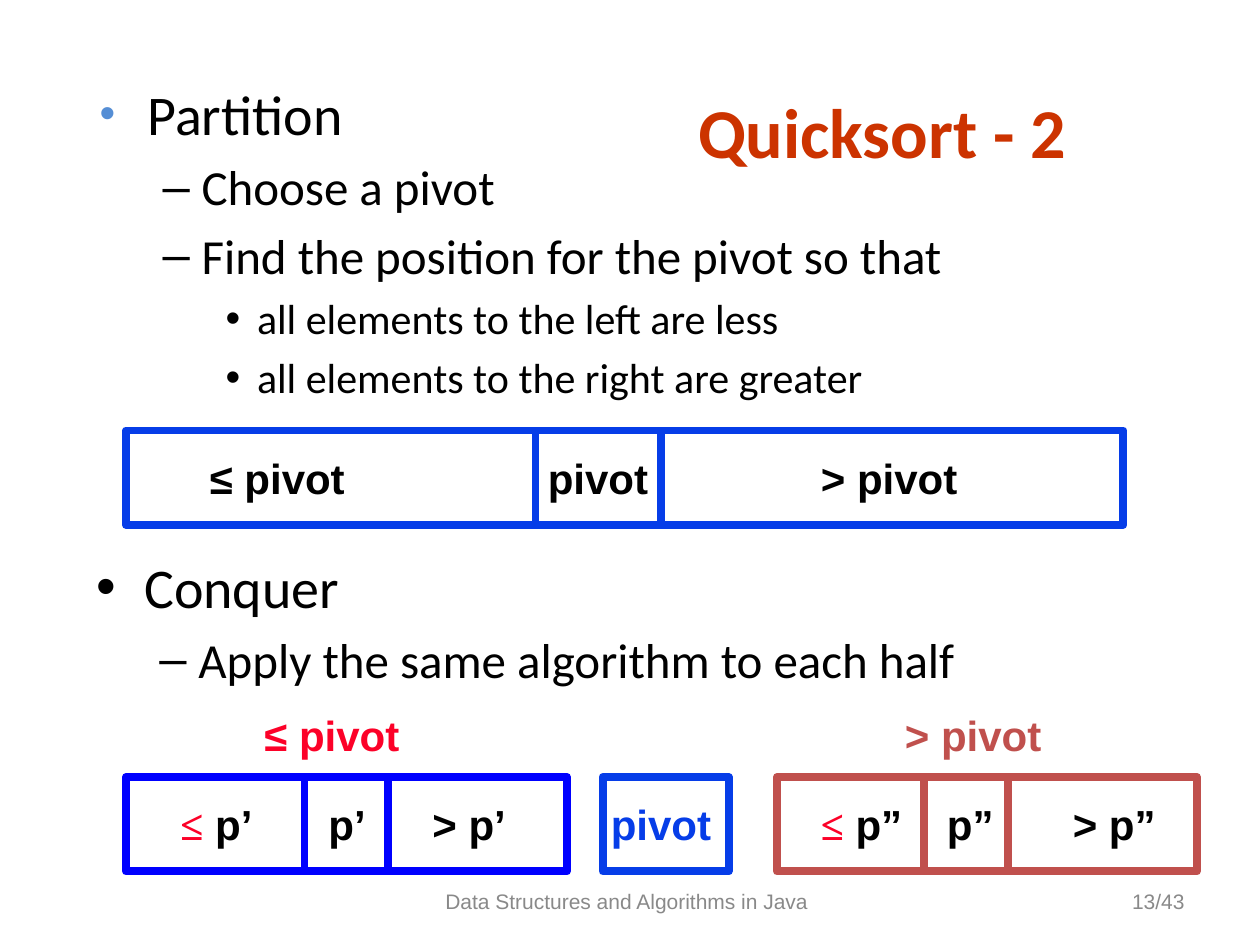
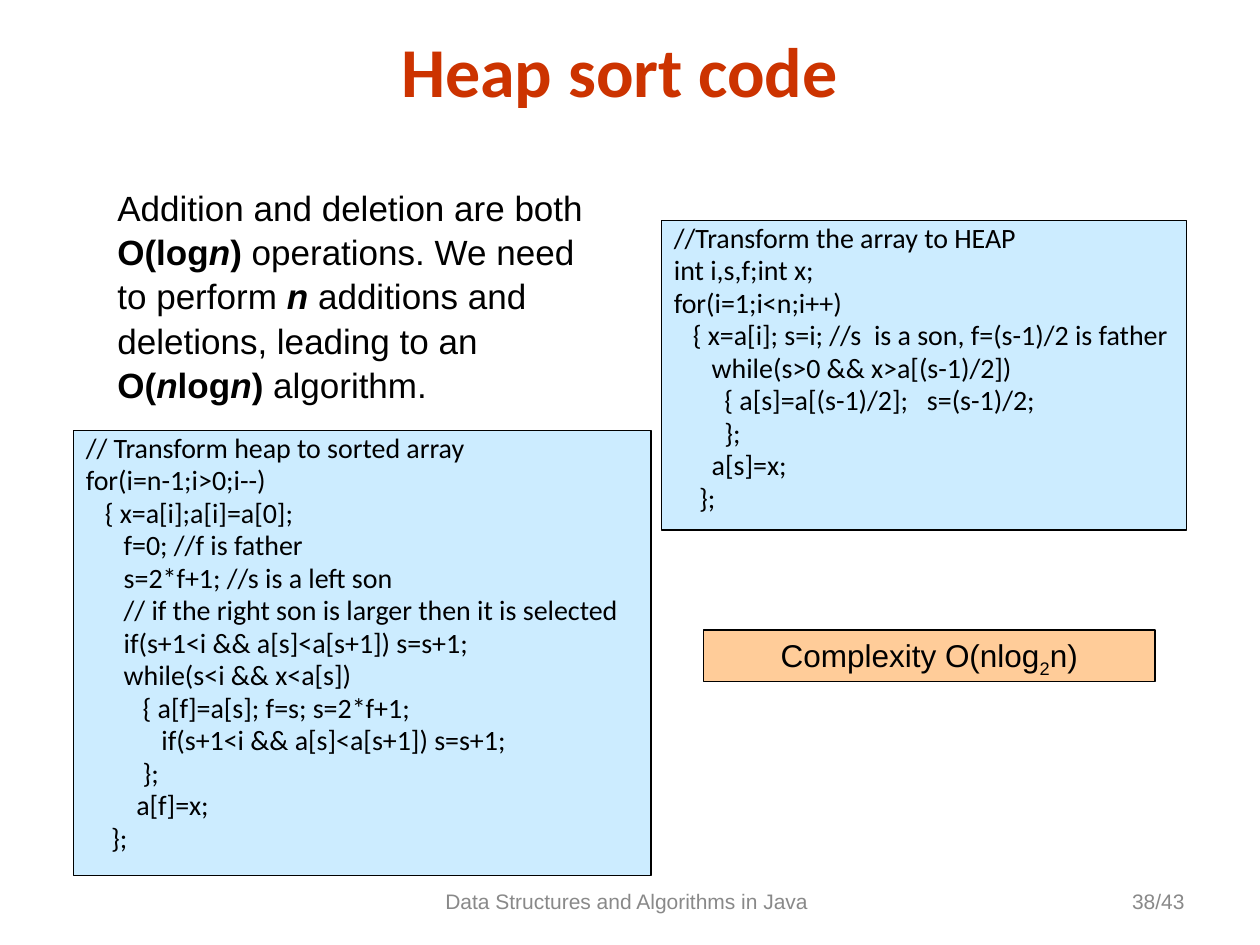
from lxml.etree import SubElement
from pptx import Presentation
from pptx.dml.color import RGBColor
from pptx.enum.shapes import MSO_SHAPE
from pptx.enum.text import MSO_ANCHOR, MSO_AUTO_SIZE, PP_ALIGN
from pptx.oxml.ns import qn
from pptx.util import Inches, Pt

# Colours
BLACK = RGBColor(0, 0, 0)
GREY = RGBColor(0x89, 0x89, 0x89)
TITLE_RED = RGBColor(0xCC, 0x33, 0x00)
BULLET_BLUE = RGBColor(0x55, 0x8E, 0xD5)
PIVOT_BLUE = RGBColor(0x06, 0x3D, 0xE8)
LEFT_BLUE = RGBColor(0, 0, 0xFF)
RIGHT_RED = RGBColor(0xC0, 0x50, 0x4D)
SIGN_RED = RGBColor(0xFC, 0x01, 0x28)
CODE_BLUE = RGBColor(0xCC, 0xEC, 0xFF)
NOTE_ORANGE = RGBColor(0xFF, 0xCC, 0x99)

# Grid: 120 columns by 90 rows; every place is (column, row, columns, rows)
WIDTH, HEIGHT = Inches(10), Inches(7.5)
COLUMNS, ROWS = 120, 90
BAR_ROWS, LABEL_ROWS, LABEL_DROP = 9, 6, 1.5

FOOTER = "Data Structures and Algorithms in Java"
FOOTER_AT = (37.7, 83.4, 44, 4.8)
NUMBER_AT = (86, 83.4, 28, 4.8)

# Slide 1: outlines are (level, text)
PARTITION = [
    (0, "Partition"),
    (1, "Choose a pivot"),
    (1, "Find the position for the pivot so that"),
    (2, "all elements to the left are less"),
    (2, "all elements to the right are greater"),
]
CONQUER = [(0, "Conquer"), (1, "Apply the same algorithm to each half")]
# For each level: bullet, size, left margin and hang in inches
LEVELS = [("•", 32, 0.38, 0.38), ("–", 28, 0.81, 0.31), ("•", 24, 1.25, 0.25)]

PARTITION_ROW, HALVES_ROW, HEADING_ROW = 41, 74, 67
# Bars: column, row, columns, colour
BARS = [
    (12, PARTITION_ROW, 95, PIVOT_BLUE),
    (51, PARTITION_ROW, 12, PIVOT_BLUE),
    (74, HALVES_ROW, 40, RIGHT_RED),
    (88, HALVES_ROW, 8, RIGHT_RED),
    (57.4, HALVES_ROW, 12, PIVOT_BLUE),
    (12, HALVES_ROW, 42, LEFT_BLUE),
    (29, HALVES_ROW, 8, LEFT_BLUE),
]
SIGN = ("≤", {"name": "Times New Roman", "color": SIGN_RED})
# Labels: column, row, columns, text, colour
IN_PARTITION, IN_HALVES = PARTITION_ROW + LABEL_DROP, HALVES_ROW + LABEL_DROP
LABELS = [
    (18.8, IN_PARTITION, 15.3, "≤ pivot", BLACK),
    (51, IN_PARTITION, 12, "pivot", BLACK),
    (77, IN_PARTITION, 15.3, "> pivot", BLACK),
    (24, HEADING_ROW, 15.3, "≤ pivot", SIGN_RED),
    (85, HEADING_ROW, 15.3, "> pivot", RIGHT_RED),
    (16, IN_HALVES, 9.2, [SIGN, " p’"], BLACK),
    (30.1, IN_HALVES, 6, "p’", BLACK),
    (40, IN_HALVES, 9.4, "> p’", BLACK),
    (57, IN_HALVES, 12, "pivot", PIVOT_BLUE),
    (77, IN_HALVES, 10.2, [SIGN, " p”"], BLACK),
    (89, IN_HALVES, 6.8, "p”", BLACK),
    (101, IN_HALVES, 10.3, "> p”", BLACK),
]

# Slide 2
BOLD = {"bold": True}
BOLD_ITALIC = {"bold": True, "italic": True}
COST = [
    "Addition and deletion are both ",
    ("O(log", BOLD), ("n", BOLD_ITALIC), (")", BOLD),
    " operations. We need to perform ", ("n", BOLD_ITALIC),
    " additions and deletions, leading to an ",
    ("O(", BOLD), ("n", BOLD_ITALIC), ("log", BOLD), ("n", BOLD_ITALIC), (")", BOLD),
    " algorithm.",
]
COMPLEXITY = ["Complexity O(nlog", ("2", {"baseline": -25}), "n)"]
SORT_CODE = """\
// Transform heap to sorted array
for(i=n-1;i>0;i--)
   { x=a[i];a[i]=a[0];
      f=0; //f is father
      s=2*f+1; //s is a left son
      // if the right son is larger then it is selected
      if(s+1<i && a[s]<a[s+1]) s=s+1;
      while(s<i && x<a[s])
         { a[f]=a[s]; f=s; s=2*f+1;
            if(s+1<i && a[s]<a[s+1]) s=s+1;
         };
        a[f]=x;
    };"""
HEAP_CODE = """\
//Transform the array to HEAP
int i,s,f;int x;
for(i=1;i<n;i++)
   { x=a[i]; s=i; //s  is a son, f=(s-1)/2 is father
      while(s>0 && x>a[(s-1)/2])
        { a[s]=a[(s-1)/2];   s=(s-1)/2;
        };
      a[s]=x;
    };"""


def place(at):
    """Turn grid columns and rows into lengths on the slide."""
    column, row, columns, rows = at
    return (int(WIDTH * column / COLUMNS), int(HEIGHT * row / ROWS),
            int(WIDTH * columns / COLUMNS), int(HEIGHT * rows / ROWS))


def add_rect(page, at, line, weight, fill=None):
    box = page.shapes.add_shape(MSO_SHAPE.RECTANGLE, *place(at))
    box.shadow.inherit = False
    box.line.color.rgb = line
    box.line.width = Pt(weight)
    if fill is None:
        box.fill.background()
    else:
        box.fill.solid()
        box.fill.fore_color.rgb = fill
    return box


def write(para, text, size=18, name="Arial", color=BLACK, bold=False):
    """Fill a paragraph from a string, or from strings and (string, format) pairs."""
    for part in [text] if isinstance(text, str) else text:
        words, changes = (part, {}) if isinstance(part, str) else part
        span = para.add_run()
        span.text = words
        font = span.font
        font.size = Pt(size)
        font.name = changes.get("name", name)
        font.color.rgb = changes.get("color", color)
        font.bold = changes.get("bold", bold)
        font.italic = changes.get("italic", False)
        if "baseline" in changes:
            span._r.get_or_add_rPr().set("baseline", str(changes["baseline"] * 1000))


def add_text(page, lines, at=None, box=None, align=PP_ALIGN.LEFT, anchor=MSO_ANCHOR.TOP,
             wrap=True, spacing=None, before=0, **font):
    """Write a list of paragraphs in a given box, or in a new text box."""
    box = box or page.shapes.add_textbox(*place(at))
    frame = box.text_frame
    frame.word_wrap = wrap
    frame.auto_size = MSO_AUTO_SIZE.NONE
    frame.vertical_anchor = anchor
    for index, line in enumerate(lines):
        para = frame.add_paragraph() if index else frame.paragraphs[0]
        para.alignment = align
        if spacing:
            para.line_spacing = spacing
        para.space_before = Pt(before if index else 0)
        write(para, line, **font)
    return box


def add_outline(page, items, at, first_color=BLACK, first_share=100):
    frame = page.shapes.add_textbox(*place(at)).text_frame
    frame.word_wrap = True
    for index, (level, text) in enumerate(items):
        mark, size, margin, hang = LEVELS[level]
        para = frame.add_paragraph() if index else frame.paragraphs[0]
        props = para._p.get_or_add_pPr()
        props.set("marL", str(Inches(margin)))
        props.set("indent", str(-Inches(hang)))
        color, share = (BLACK, 100) if index else (first_color, first_share)
        SubElement(SubElement(props, qn("a:buClr")), qn("a:srgbClr")).set("val", str(color))
        SubElement(props, qn("a:buSzPct")).set("val", str(share * 1000))
        SubElement(props, qn("a:buFont")).set("typeface", "Arial")
        SubElement(props, qn("a:buChar")).set("char", mark)
        para.level = level
        para.space_before = Pt(size * 0.2 if index else 0)
        write(para, text, size=size, name="Calibri")


def add_page(deck, title, title_at, number):
    """Add a slide with the shared title style, footer and page number."""
    page = deck.slides.add_slide(deck.slide_layouts[5])
    box = page.shapes.title
    box.left, box.top, box.width, box.height = place(title_at)
    add_text(page, [title], box=box, align=PP_ALIGN.CENTER, anchor=MSO_ANCHOR.MIDDLE,
             size=40, name="Calibri", color=TITLE_RED, bold=True)
    for text, at, align in ((FOOTER, FOOTER_AT, PP_ALIGN.CENTER),
                            (number, NUMBER_AT, PP_ALIGN.RIGHT)):
        add_text(page, [text], at, align=align, anchor=MSO_ANCHOR.MIDDLE,
                 size=12, color=GREY)
    return page


def build_quicksort(deck):
    page = add_page(deck, "Quicksort - 2", (58, 7.8, 52, 9.2), "13/43")
    add_outline(page, PARTITION, (8.3, 7, 103, 32.5), BULLET_BLUE, 80)
    add_outline(page, CONQUER, (8, 52, 103, 14.3))
    for column, row, columns, color in BARS:
        add_rect(page, (column, row, columns, BAR_ROWS), color, 4.5)
    for column, row, columns, text, color in LABELS:
        add_text(page, [text], (column, row, columns, LABEL_ROWS), wrap=False,
                 size=24, color=color, bold=True)


def build_heap_sort(deck):
    page = add_page(deck, "Heap sort code", (8, 2, 102, 9.2), "38/43")
    add_text(page, [COST], (10, 17, 49, 22.2), spacing=1.05, size=20)
    for code, at in ((SORT_CODE, (7, 41, 55, 42.4)), (HEAP_CODE, (63, 21, 50, 29.5))):
        box = add_rect(page, at, BLACK, 0.75, CODE_BLUE)
        add_text(page, code.split("\n"), box=box, spacing=0.8, before=3.2,
                 size=16, name="Calibri")
    box = add_rect(page, (67, 60, 43, 4.9), BLACK, 0.75, NOTE_ORANGE)
    add_text(page, [COMPLEXITY], box=box, align=PP_ALIGN.CENTER)


def main():
    deck = Presentation()
    deck.slide_width, deck.slide_height = WIDTH, HEIGHT
    build_quicksort(deck)
    build_heap_sort(deck)
    deck.save("out.pptx")


if __name__ == "__main__":
    main()
